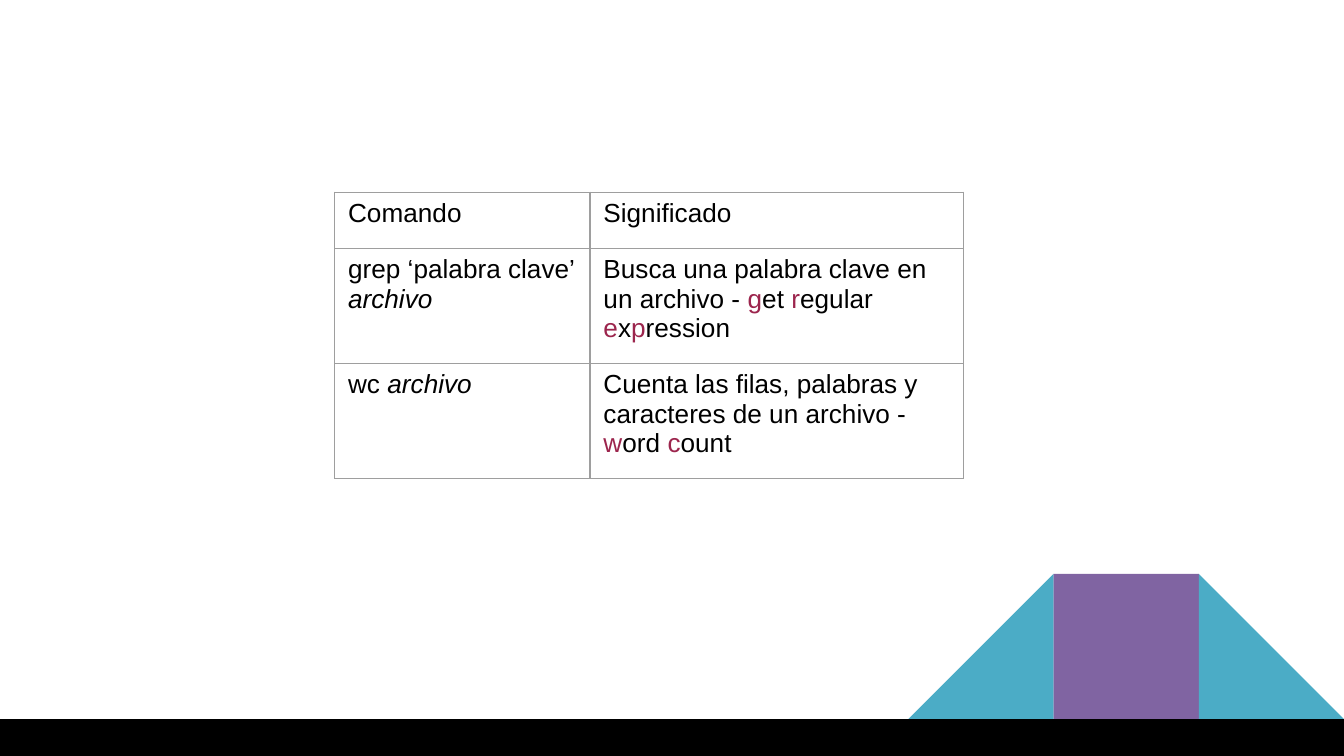
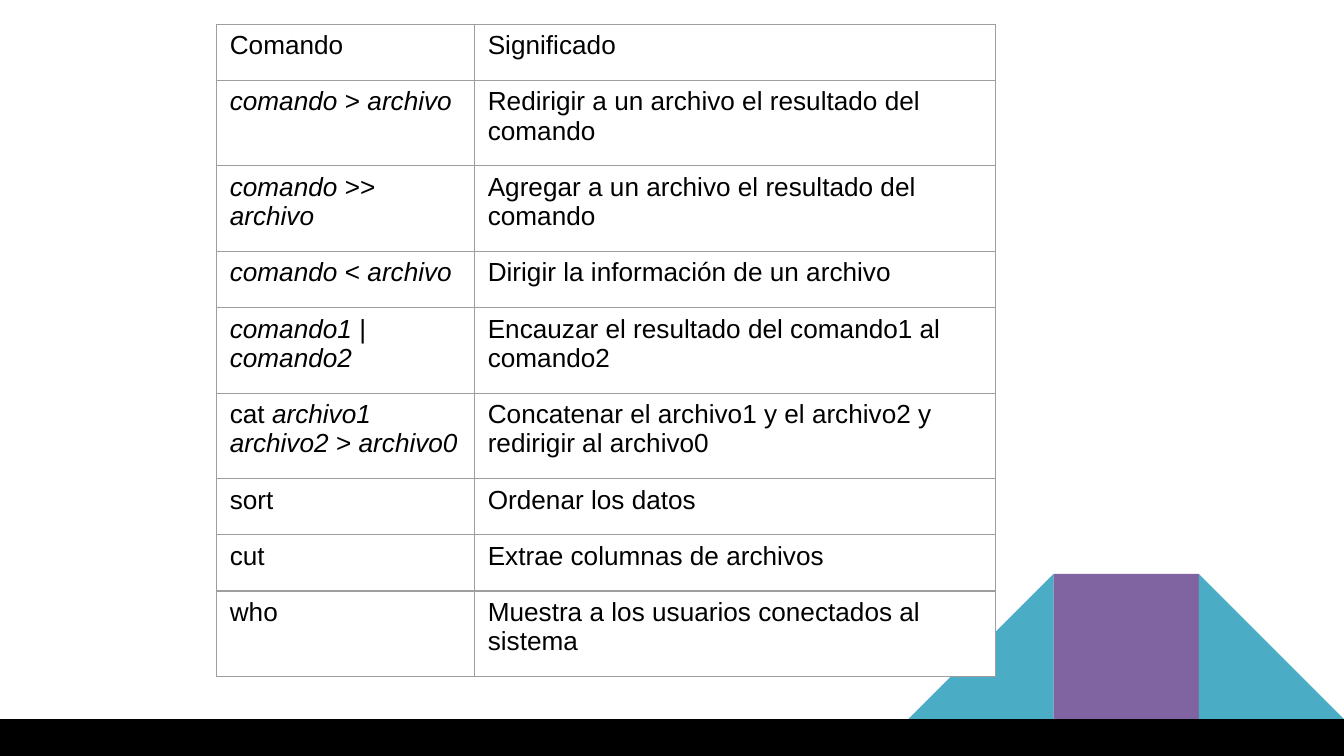
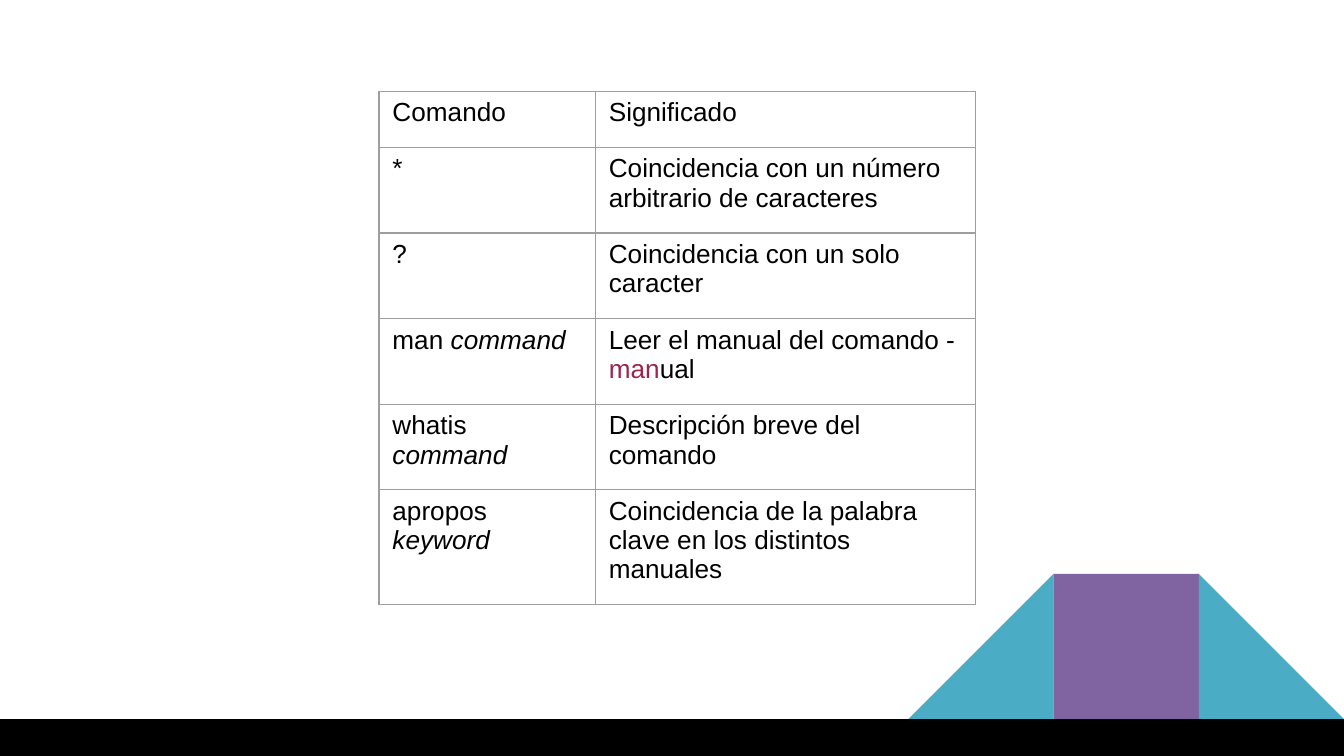
from dataclasses import dataclass

from lxml.etree import SubElement
from pptx import Presentation
from pptx.dml.color import RGBColor
from pptx.enum.shapes import MSO_SHAPE as Shape
from pptx.oxml.ns import qn
from pptx.util import Inches, Pt


@dataclass(frozen=True)
class Theme:
    width: float = 10
    height: float = 10 * 9 / 16
    font: str = "Arial"
    text_size: int = 14
    border_width: float = 0.75
    paper: str = "FFFFFF"
    ink: str = "000000"
    accent: str = "9C254D"
    border: str = "9E9E9E"
    triangle: str = "4BACC6"
    square: str = "8064A2"


THEME = Theme()
BLOCK_SIDE = 1.08
BAND_TOP = 5.35
ONE_LINE_ROW = Pt(30.1)
EXTRA_LINE = Pt(15.75)
HEADER = (1, "Comando", "Significado")

# Each row: lines of text, command, meaning. _italic_ and #accent# mark runs.
SEARCH_ROWS = [
    (3, "grep ‘palabra clave’ _archivo_",
     "Busca una palabra clave en un archivo - #g#et #r#egular #e#x#p#ression"),
    (3, "wc _archivo_",
     "Cuenta las filas, palabras y caracteres de un archivo - #w#ord #c#ount"),
]
REDIRECT_ROWS = [
    (2, "_comando_ > _archivo_", "Redirigir a un archivo el resultado del comando"),
    (2, "_comando_ >> _archivo_", "Agregar a un archivo el resultado del comando"),
    (1, "_comando_ < _archivo_", "Dirigir la información de un archivo"),
    (2, "_comando1_ | _comando2_", "Encauzar el resultado del comando1 al comando2"),
    (2, "cat _archivo1 archivo2_ > _archivo0_",
     "Concatenar el archivo1 y el archivo2 y redirigir al archivo0"),
    (1, "sort", "Ordenar los datos"),
    (1, "cut", "Extrae columnas de archivos"),
    (2, "who", "Muestra a los usuarios conectados al sistema"),
]
HELP_ROWS = [
    (2, "*", "Coincidencia con un número arbitrario de caracteres"),
    (2, "?", "Coincidencia con un solo caracter"),
    (2, "man _command_", "Leer el manual del comando - #man#ual"),
    (2, "whatis _command_", "Descripción breve del comando"),
    (3, "apropos _keyword_",
     "Coincidencia de la palabra clave en los distintos manuales"),
]


def color(value):
    return RGBColor.from_string(value)


def add_block(slide, kind, left, top, width, height, fill):
    block = slide.shapes.add_shape(
        kind, Inches(left), Inches(top), Inches(width), Inches(height))
    block.shadow.inherit = False
    block.fill.solid()
    block.fill.fore_color.rgb = color(fill)
    block.line.fill.background()
    return block


def decorate_layout(layout, slide):
    """Draw the corner blocks and bottom band, then move them to the layout."""
    for placeholder in list(layout.placeholders):
        layout.shapes.element.remove(placeholder.element)
    corner = [(Shape.RIGHT_TRIANGLE, THEME.triangle),
              (Shape.RECTANGLE, THEME.square),
              (Shape.RIGHT_TRIANGLE, THEME.triangle)]
    left = THEME.width - len(corner) * BLOCK_SIDE
    blocks = [add_block(slide, kind, left + index * BLOCK_SIDE,
                        BAND_TOP - BLOCK_SIDE, BLOCK_SIDE, BLOCK_SIDE, fill)
              for index, (kind, fill) in enumerate(corner)]
    blocks[0].element.spPr.find(qn("a:xfrm")).set("flipH", "1")
    blocks.append(add_block(slide, Shape.RECTANGLE, 0, BAND_TOP, THEME.width,
                            THEME.height - BAND_TOP, THEME.ink))
    for block in blocks:
        layout.shapes.element.append(block.element)


def add_run(para, text, italic, accent):
    span = para.add_run()
    span.text = text
    span.font.name = THEME.font
    span.font.size = Pt(THEME.text_size)
    span.font.italic = italic
    span.font.color.rgb = color(THEME.accent if accent else THEME.ink)


def write_marked_text(para, marked):
    for i, part in enumerate(marked.split("_")):
        for j, text in enumerate(part.split("#")):
            if text:
                add_run(para, text, italic=i % 2 == 1, accent=j % 2 == 1)


def set_borders(cell):
    properties = cell._tc.get_or_add_tcPr()
    for position, side in enumerate(("lnL", "lnR", "lnT", "lnB")):
        line = SubElement(properties, qn(f"a:{side}"),
                          w=str(Pt(THEME.border_width)))
        fill = SubElement(line, qn("a:solidFill"))
        SubElement(fill, qn("a:srgbClr"), val=THEME.border)
        properties.insert(position, line)


def add_command_table(slide, left, top, column_widths, command_rows):
    rows = [HEADER, *command_rows]
    heights = [ONE_LINE_ROW + EXTRA_LINE * (lines - 1) for lines, *_ in rows]
    table = slide.shapes.add_table(
        len(rows), len(column_widths), Inches(left), Inches(top),
        Inches(sum(column_widths)), sum(heights)).table
    table.first_row = False
    table.horz_banding = False
    for column, width in zip(table.columns, column_widths):
        column.width = Inches(width)
    for row, height, (_, *texts) in zip(table.rows, heights, rows):
        row.height = height
        for cell, marked in zip(row.cells, texts):
            cell.fill.solid()
            cell.fill.fore_color.rgb = color(THEME.paper)
            set_borders(cell)
            write_marked_text(cell.text_frame.paragraphs[0], marked)


def main():
    deck = Presentation()
    deck.slide_width = Inches(THEME.width)
    deck.slide_height = Inches(THEME.height)
    layout = deck.slide_layouts.get_by_name("Blank")
    pages = [deck.slides.add_slide(layout) for _ in range(3)]
    decorate_layout(layout, pages[0])

    add_command_table(pages[0], 2.49, 1.43, (1.9, 2.78), SEARCH_ROWS)
    add_command_table(pages[1], 1.61, 0.18, (1.92, 3.88), REDIRECT_ROWS)
    add_command_table(pages[2], 2.82, 0.68, (1.61, 2.83), HELP_ROWS)
    deck.save("out.pptx")


if __name__ == "__main__":
    main()
